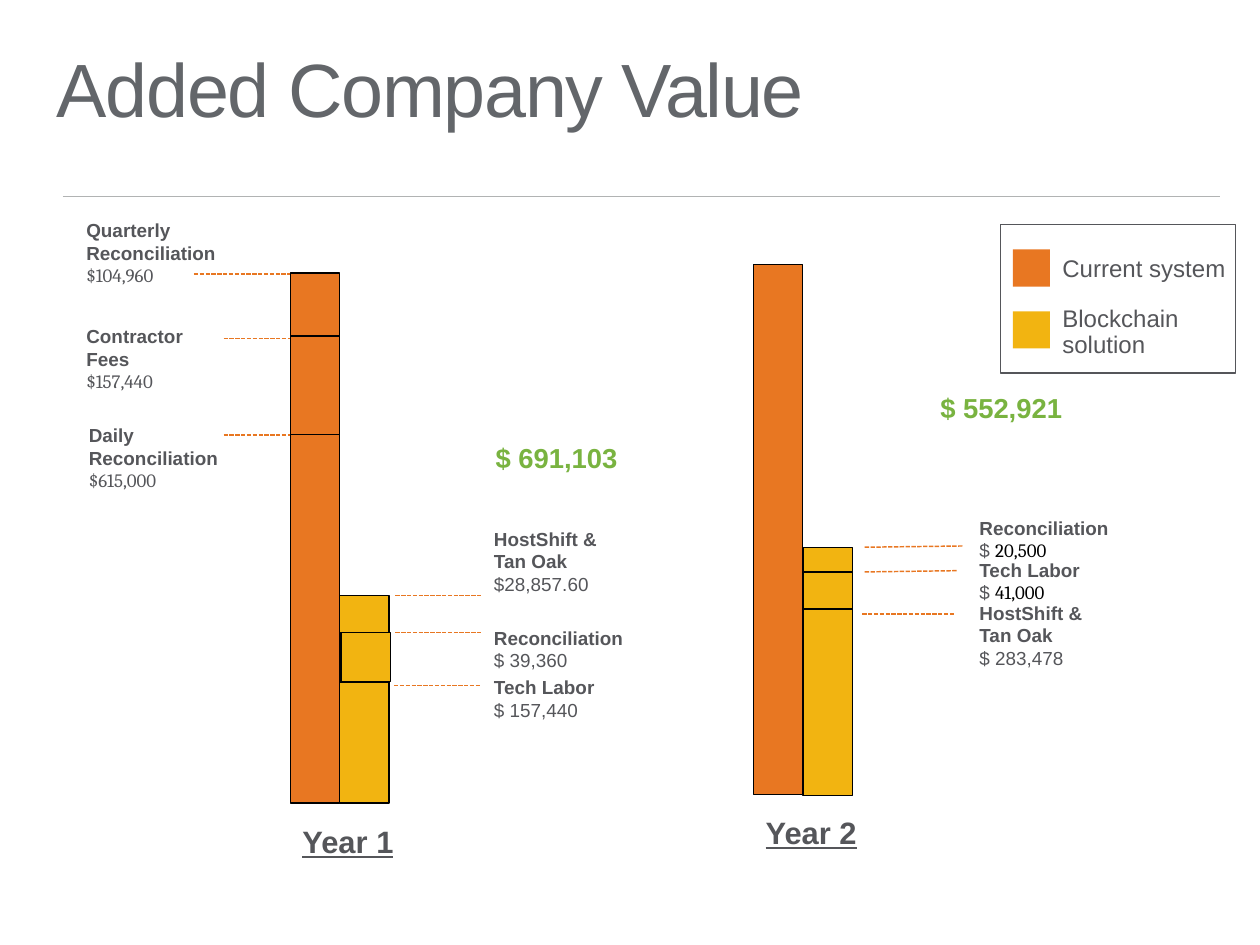
from dataclasses import dataclass

from pptx import Presentation
from pptx import util as u
from pptx.dml.color import RGBColor
from pptx.enum import dml, shapes, text
from pptx.oxml.ns import qn

PX = u.Inches(1) // 100


@dataclass(frozen=True)
class Theme:
    """Colours, fonts and type sizes of the slide."""
    title: str = "63666A"
    ink: str = "55565A"
    black: str = "000000"
    rule: str = "B1B3B3"
    current: str = "E87722"
    blockchain: str = "F2B411"
    gain: str = "79B340"
    sans: str = "Arial"
    serif: str = "Cambria"
    title_size: int = 44
    year_size: int = 18
    gain_size: int = 16
    legend_size: int = 14
    label_size: int = 11


THEME = Theme()


def px(*lengths):
    """Turn whole px into EMU."""
    return [length * PX for length in lengths]


def add_span(para, words, size, color=THEME.ink, font=THEME.sans, bold=False, underline=False):
    """Add formatted words to a paragraph."""
    span = para.add_run()
    span.text = words
    span.font.size = u.Pt(size)
    span.font.name = font
    span.font.bold = bold
    span.font.underline = underline
    span.font.color.rgb = RGBColor.from_string(color)
    return span


def set_frame(frame, inset_x=10, inset_y=5):
    """Give a text frame its insets, wrapping and top anchor."""
    frame.word_wrap = True
    frame.auto_size = text.MSO_AUTO_SIZE.NONE
    frame.vertical_anchor = text.MSO_ANCHOR.TOP
    frame.margin_left = frame.margin_right = inset_x * PX
    frame.margin_top = frame.margin_bottom = inset_y * PX
    return frame


def add_text(page, at, words, align=text.PP_ALIGN.LEFT, **style):
    """Add a text box with one paragraph."""
    frame = set_frame(page.shapes.add_textbox(*px(*at)).text_frame)
    para = frame.paragraphs[0]
    para.alignment = align
    add_span(para, words, **style)


def add_title(page, words):
    """Place and format the title placeholder."""
    title = page.shapes.title
    title.left, title.top, title.width, title.height = px(30, 32, 960, 100)
    para = set_frame(title.text_frame, 16, 10).paragraphs[0]
    para.alignment = text.PP_ALIGN.LEFT
    para.line_spacing = 0.9
    span = add_span(para, words, THEME.title_size, THEME.title)
    span._r.get_or_add_rPr().set("spc", "-80")


def add_box(page, at, fill=None, line=None):
    """Add a rectangle with an optional fill and outline."""
    box = page.shapes.add_shape(shapes.MSO_SHAPE.RECTANGLE, *px(*at))
    box.shadow.inherit = False
    if fill:
        box.fill.solid()
        box.fill.fore_color.rgb = RGBColor.from_string(fill)
    else:
        box.fill.background()
    if line:
        box.line.color.rgb = RGBColor.from_string(line)
        box.line.width = u.Pt(0.75)
    else:
        box.line.fill.background()


def add_stack(page, left, edges, fill):
    """Add a column of bar segments between successive edges."""
    for top, bottom in zip(edges, edges[1:]):
        add_box(page, (left, top, 40, bottom - top), fill, THEME.black)


def add_line(page, start, end, color=THEME.current, width=0.85, dashed=True):
    """Add a straight line, dashed for a leader."""
    line = page.shapes.add_connector(shapes.MSO_CONNECTOR.STRAIGHT, *px(*start, *end))
    line.line.color.rgb = RGBColor.from_string(color)
    line.line.width = u.Pt(width)
    if dashed:
        line.line.dash_style = dml.MSO_LINE.SQUARE_DOT
    properties = line._element.spPr
    properties.append(properties.makeelement(qn("a:effectLst"), {}))


def add_label(page, left, top, name, *amount):
    """Add a cost label: bold name above (words, format) spans of its amount."""
    frame = set_frame(page.shapes.add_textbox(*px(left, top, 128, 66)).text_frame)
    add_span(frame.paragraphs[0], name, THEME.label_size, bold=True)
    para = frame.add_paragraph()
    for words, style in amount:
        add_span(para, words, THEME.label_size, **style)


def add_legend(page):
    """Add the framed legend with its two keys."""
    add_box(page, (810, 182, 190, 120), line=THEME.ink)
    for row, fill in enumerate((THEME.current, THEME.blockchain)):
        add_box(page, (820, 202 + 50 * row, 30, 30), fill)
    frame = set_frame(page.shapes.add_textbox(*px(840, 192, 190, 116)).text_frame, 20, 16)
    names = "Current system", "Blockchain solution"
    for para, name in zip((frame.paragraphs[0], frame.add_paragraph()), names):
        para.line_spacing = 0.9
        para.space_after = u.Pt(14)
        add_span(para, name, THEME.legend_size)


def main():
    """Build the slide and save it."""
    deck = Presentation()
    deck.slide_width, deck.slide_height = px(1020, 765)
    page = deck.slides.add_slide(deck.slide_layouts[5])
    add_line(page, (51, 159), (988, 159), THEME.rule, 1, dashed=False)
    add_title(page, "Added Company Value")

    for left, edges, fill in (
        (235, (221, 272, 352, 650), THEME.current),
        (275, (482, 512), THEME.blockchain),
        (275, (552, 650), THEME.blockchain),
        (276, (512, 552), THEME.blockchain),
        (650, (443, 463, 493, 644), THEME.blockchain),
        (610, (214, 643), THEME.current),
    ):
        add_stack(page, left, edges, fill)

    for start, end in (
        ((157, 222), (235, 222)), ((181, 274), (235, 274)), ((181, 352), (235, 352)),
        ((320, 482), (390, 482)), ((320, 512), (390, 512)), ((319, 555), (389, 555)),
        ((700, 443), (780, 442)), ((700, 463), (775, 462)), ((698, 497), (773, 497)),
    ):
        add_line(page, start, end)

    serif = {"font": THEME.serif}
    black = {"font": THEME.serif, "color": THEME.black}
    hosting = "HostShift & Tan Oak"
    for label in (
        (60, 172, "Quarterly Reconciliation", ("$104,960", serif)),
        (60, 258, "Contractor Fees", ("$157,440", serif)),
        (62, 338, "Daily Reconciliation", ("$615,000", serif)),
        (390, 422, hosting, ("$28,857.60", {})),
        (390, 502, "Reconciliation", ("$ 39,360", {})),
        (390, 542, "Tech Labor", ("$ 157,440", {})),
        (783, 413, "Reconciliation", ("$ ", {}), ("20,500", black)),
        (783, 447, "Tech Labor", ("$ ", {}), ("41,000", black)),
        (783, 482, hosting, ("$ 283,478", {})),
    ):
        add_label(page, *label)

    for year, year_at, gain, gain_at in (
        ("Year 1", (235, 661), "$ 691,103", (280, 352)),
        ("Year 2", (610, 654), "$ 552,921", (640, 312)),
    ):
        add_text(page, (*year_at, 135, 41), year, size=THEME.year_size, bold=True, underline=True)
        add_text(page, (*gain_at, 341, 38), gain, text.PP_ALIGN.CENTER,
                 size=THEME.gain_size, color=THEME.gain, bold=True)

    add_legend(page)
    deck.save("out.pptx")


if __name__ == "__main__":
    main()
